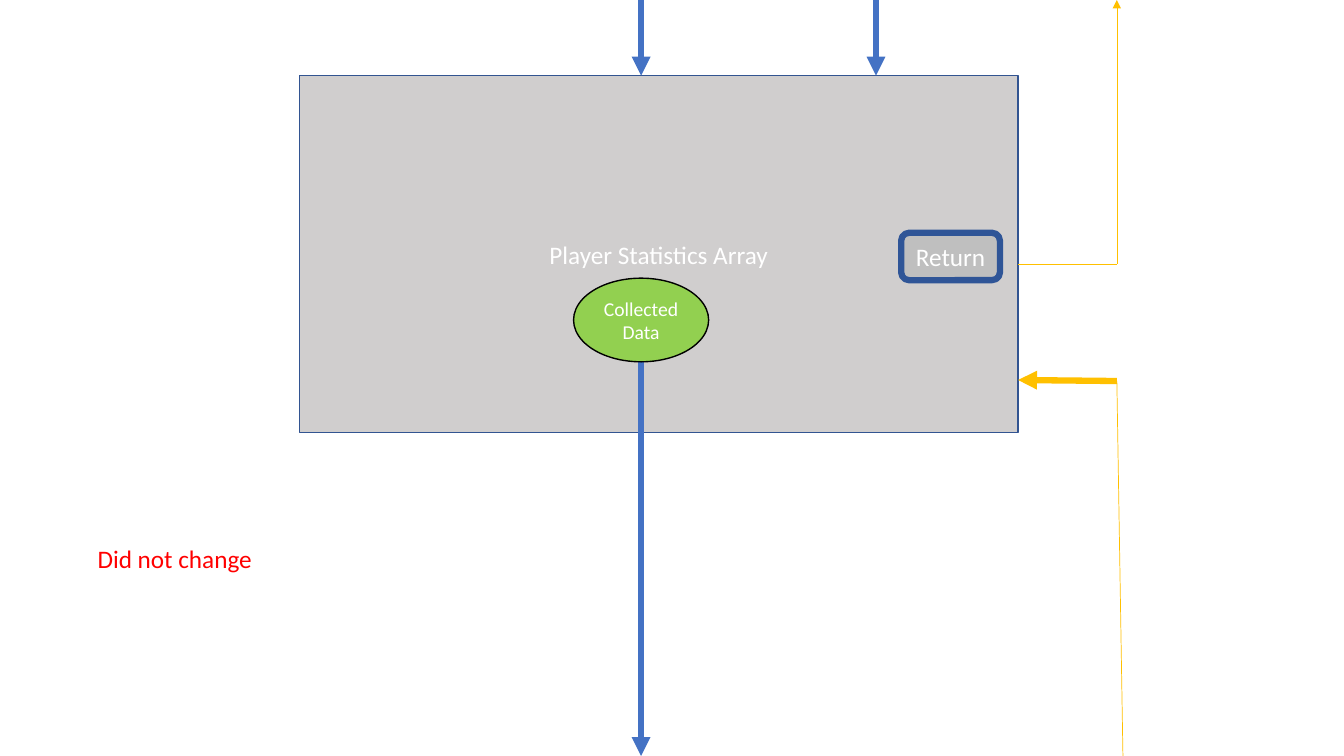
from typing import NamedTuple

from lxml.etree import SubElement
from pptx import Presentation
from pptx.dml.color import RGBColor
from pptx.enum.shapes import MSO_CONNECTOR, MSO_SHAPE
from pptx.enum.text import MSO_ANCHOR, MSO_AUTO_SIZE, PP_ALIGN
from pptx.oxml.ns import qn
from pptx.util import Inches, Pt

WHITE = RGBColor(0xFF, 0xFF, 0xFF)
BLACK = RGBColor(0x00, 0x00, 0x00)
RED = RGBColor(0xFF, 0x00, 0x00)
GREEN = RGBColor(0x92, 0xD0, 0x50)
BLUE = RGBColor(0x44, 0x72, 0xC4)
NAVY = RGBColor(0x32, 0x54, 0x91)
DEEP = RGBColor(0x2F, 0x55, 0x97)
GOLD = RGBColor(0xFF, 0xC0, 0x00)
PALE = RGBColor(0xD0, 0xCE, 0xCE)
GRAY = RGBColor(0xBF, 0xBF, 0xBF)

FONT = "Calibri"
THIN, THICK = 0.5, 4.5
COLS, ROWS = 133.33, 75

deck = Presentation()
deck.slide_width, deck.slide_height = Inches(13.33), Inches(7.5)
slide = deck.slides.add_slide(deck.slide_layouts[6])


class Area(NamedTuple):
    col: float
    row: float
    wide: float
    high: float

    @property
    def right(self) -> float:
        return self.col + self.wide

    @property
    def base(self) -> float:
        return self.row + self.high

    @property
    def mid(self) -> float:
        return self.col + self.wide / 2


class Node(NamedTuple):
    kind: MSO_SHAPE
    area: Area
    text: str
    size: float
    fill: RGBColor
    edge: RGBColor
    width: float


class Link(NamedTuple):
    start: tuple[float, float]
    end: tuple[float, float]
    color: RGBColor
    width: float
    arrow: bool = True


def across(col: float) -> int:
    return round(deck.slide_width * col / COLS)


def down(row: float) -> int:
    return round(deck.slide_height * row / ROWS)


def place(area: Area) -> tuple[int, int, int, int]:
    return across(area.col), down(area.row), across(area.wide), down(area.high)


def write(frame, text: str, size: float, color: RGBColor) -> None:
    frame.text = text
    frame.word_wrap = True
    font = frame.paragraphs[0].runs[0].font
    font.name, font.size = FONT, Pt(size)
    font.color.rgb = color


def draw_node(node: Node) -> None:
    shape = slide.shapes.add_shape(node.kind, *place(node.area))
    shape.shadow.inherit = False
    shape.fill.solid()
    shape.fill.fore_color.rgb = node.fill
    shape.line.color.rgb = node.edge
    shape.line.width = Pt(node.width)
    frame = shape.text_frame
    write(frame, node.text, node.size, WHITE)
    frame.vertical_anchor = MSO_ANCHOR.MIDDLE
    frame.paragraphs[0].alignment = PP_ALIGN.CENTER


def draw_link(link: Link) -> None:
    (left, top), (right, base) = link.start, link.end
    line = slide.shapes.add_connector(
        MSO_CONNECTOR.STRAIGHT, across(left), down(top), across(right), down(base))
    line.line.color.rgb = link.color
    line.line.width = Pt(link.width)
    if link.arrow:
        SubElement(line.line._get_or_add_ln(), qn("a:tailEnd"), type="triangle")
    SubElement(line._element.spPr, qn("a:effectLst"))


def draw_note(area: Area, text: str, color: RGBColor) -> None:
    frame = slide.shapes.add_textbox(*place(area)).text_frame
    write(frame, text, 18, color)
    frame.auto_size = MSO_AUTO_SIZE.SHAPE_TO_FIT_TEXT


box = Area(29.7, 7.5, 71.3, 35.4)
data = Area(56.9, 27.6, 13.4, 8.3)
back = Area(89.4, 23.1, 9.8, 4.7)
side, out, enter = 110.8, 26.2, 37.8

links = [
    *(Link((col, 0), (col, box.row), BLUE, THICK) for col in (data.mid, 86.9)),
    Link((data.mid, data.base), (data.mid, ROWS), BLUE, THICK),
    Link((side, out), (side, 0), GOLD, THIN),
    Link((side, out), (box.right, out), GOLD, THIN, False),
    Link((111.4, ROWS), (side, enter), GOLD, THIN, False),
    Link((side, enter), (box.right, 37.7), GOLD, THICK),
]

draw_node(Node(MSO_SHAPE.RECTANGLE, box, "Player Statistics Array", 18, PALE, NAVY, 1))
for link in links:
    draw_link(link)
draw_node(Node(MSO_SHAPE.OVAL, data, "Collected Data", 14, GREEN, BLACK, 1))
draw_node(Node(MSO_SHAPE.ROUNDED_RECTANGLE, back, "Return", 18, GRAY, DEEP, THICK))
draw_note(Area(8.7, 53.4, 33.3, 4), "Did not change", RED)

deck.save("out.pptx")
